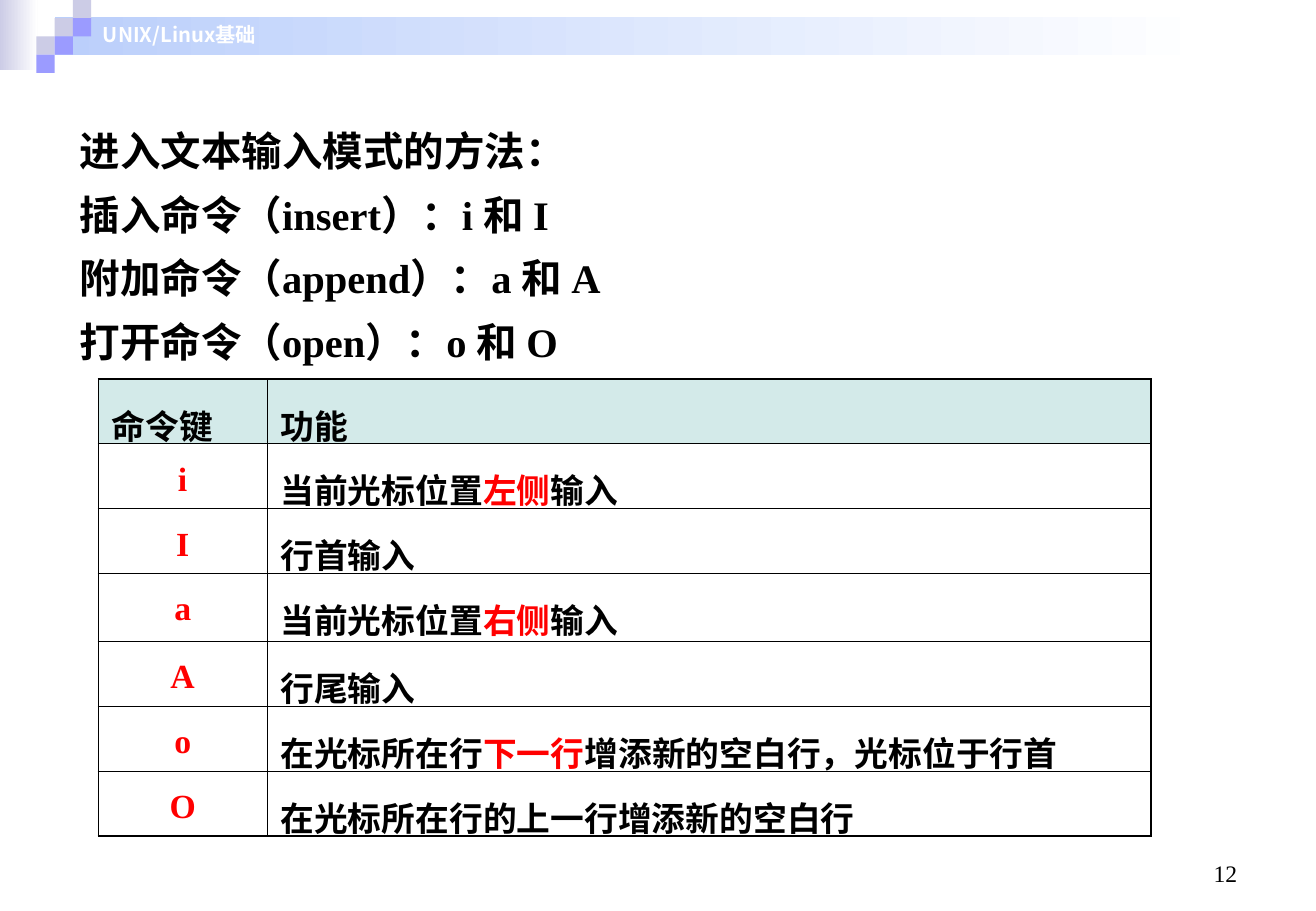
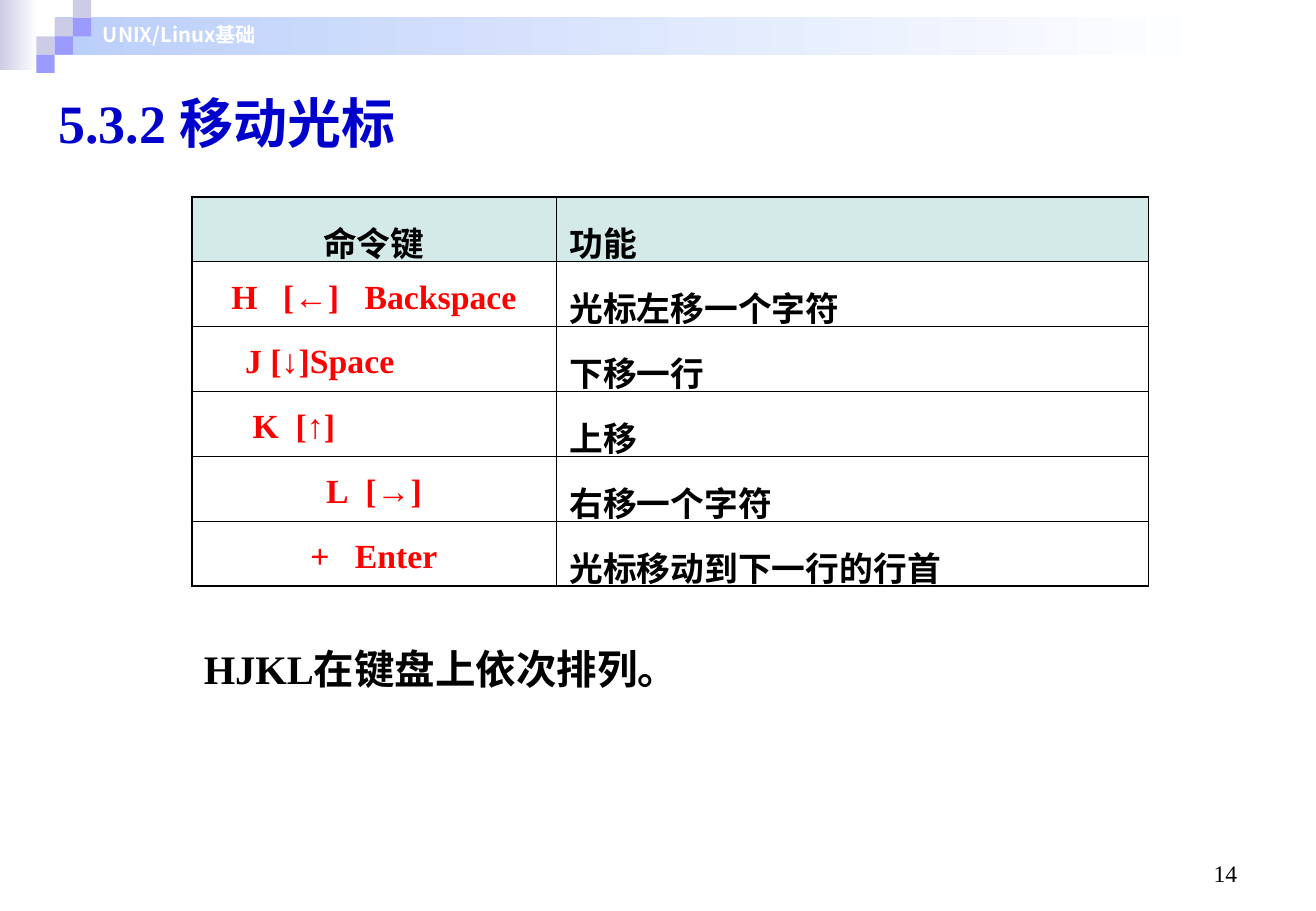
from lxml.etree import SubElement
from pptx import Presentation
from pptx.dml.color import RGBColor
from pptx.enum.shapes import MSO_SHAPE as SHAPE
from pptx.enum.text import MSO_ANCHOR as ANCHOR, PP_ALIGN as ALIGN
from pptx.oxml import parse_xml
from pptx.oxml.ns import nsdecls, qn
from pptx.util import Pt

PX = 9144  # 100 px to the inch
WIDTH, HEIGHT = 1084, 750

BLACK = RGBColor(0x00, 0x00, 0x00)
WHITE = RGBColor(0xFF, 0xFF, 0xFF)
RED = RGBColor(0xFF, 0x00, 0x00)
BLUE = RGBColor(0x00, 0x00, 0xCC)
LILAC = RGBColor(0xCC, 0xCC, 0xE6)
VIOLET = RGBColor(0x9B, 0x9B, 0xFF)
SKY = RGBColor(0xBB, 0xCF, 0xFB)
MINT = RGBColor(0xD3, 0xEA, 0xE9)

SERIF, SANS = "Times New Roman", "Noto Sans CJK JP"
THIN, THICK = Pt(0.45), Pt(1.08)
TILE = 15
ROW = 53


def px(*vals):
    return [round(val * PX) for val in vals]


# Text
def style(run, size, color, bold=True, face=SERIF):
    font = run.font
    font.size, font.bold, font.name = Pt(size), bold, face
    font.color.rgb = color
    east = SubElement(font._element, qn("a:ea"))
    east.set("typeface", SANS)


def add_text(slide, box, lines, size, color=BLACK, bold=True, face=SERIF,
             anchor=ANCHOR.MIDDLE, align=ALIGN.LEFT, pitch=None):
    frame = slide.shapes.add_textbox(*px(*box)).text_frame
    frame.word_wrap = True
    frame.vertical_anchor = anchor
    frame.text = "\n".join(lines)
    for para in frame.paragraphs:
        para.alignment = align
        if pitch:
            para.line_spacing = Pt(pitch)
        for run in para.runs:
            style(run, size, color, bold, face)
    return frame


def add_shade(run):
    shade = parse_xml(
        f'<a:effectLst {nsdecls("a")}><a:outerShdw dist="17961" dir="2700000">'
        '<a:srgbClr val="808080"/></a:outerShdw></a:effectLst>')
    run.font._element.find(qn("a:latin")).addprevious(shade)


# Header band and page number
def add_rect(slide, box, color, fade=False):
    rect = slide.shapes.add_shape(SHAPE.RECTANGLE, *px(*box))
    rect.shadow.inherit = False
    rect.line.fill.background()
    if fade:
        rect.fill.gradient()
        rect.fill.gradient_angle = 0
        for stop, tint in zip(rect.fill.gradient_stops, (color, WHITE)):
            stop.color.rgb = tint
    else:
        rect.fill.solid()
        rect.fill.fore_color.rgb = color


def add_head(slide, left, top):
    add_rect(slide, (left, top, 31, 58), LILAC, fade=True)
    add_rect(slide, (left + 45, top + 14, 955, 31), SKY, fade=True)
    tiles = [(3, 1, LILAC), (4, 0, LILAC), (4, 1, VIOLET),
             (2, 2, LILAC), (3, 2, VIOLET), (2, 3, VIOLET)]
    for col, row, color in tiles:
        add_rect(slide, (left + col * TILE, top + row * TILE, TILE, TILE), color)
    frame = add_text(slide, (left + 75, top + 13, 535, 30),
                     ["UNIX/Linux基础"], 12, WHITE, face=SANS)
    add_shade(frame.paragraphs[0].runs[0])


def new_slide(deck, number):
    slide = deck.slides.add_slide(deck.slide_layouts[6])
    add_head(slide, 0, 0)
    add_text(slide, (776, 683, 253, 52), [str(number)], 14, bold=False,
             anchor=ANCHOR.BOTTOM, align=ALIGN.RIGHT)
    return slide


# Command table
def add_edges(cell, first, last, top, base):
    props = cell._tc.get_or_add_tcPr()
    edges = [("L", first), ("R", last), ("T", top), ("B", base)]
    for spot, (side, outer) in enumerate(edges):
        width = THICK if outer else THIN
        props.insert(spot, parse_xml(
            f'<a:ln{side} {nsdecls("a")} w="{width}"><a:solidFill>'
            f'<a:srgbClr val="{BLACK}"/></a:solidFill></a:ln{side}>'))


def fill_cell(cell, parts, align, indent=0):
    """Each part is text, colour and extra letter spacing in points."""
    cell.margin_left = cell.margin_right = 11 * PX
    cell.margin_top = cell.margin_bottom = 5 * PX
    para = cell.text_frame.paragraphs[0]
    para.alignment, para.line_spacing = align, 1.3
    if indent:
        para._p.get_or_add_pPr().set("marL", str(indent * PX))
    for text, color, space in parts:
        run = para.add_run()
        run.text = text
        style(run, 20, color)
        if space:
            run.font._element.set("spc", str(space * 100))


def key_parts(words, gap):
    parts = []
    for word in words:
        if parts:
            parts.append((" ", RED, gap))
        parts.append((word, RED, 0))
    return parts


def note_parts(note):
    """Text between asterisks is red."""
    return [(text, RED if spot % 2 else BLACK, 0)
            for spot, text in enumerate(note.split("*")) if text]


def add_grid(slide, left, top, widths, heights, align, rows):
    count = len(heights)
    grid = slide.shapes.add_table(
        count, 2, *px(left, top, sum(widths), sum(heights))).table
    grid.first_row = grid.horz_banding = False
    for col, width in zip(grid.columns, widths):
        col.width = width * PX
    for row, height in zip(grid.rows, heights):
        row.height = height * PX
    fill_cell(grid.cell(0, 0), [("命令键", BLACK, 0)], align)
    fill_cell(grid.cell(0, 1), note_parts("功能"), ALIGN.LEFT)
    for row, (words, gap, indent, note) in enumerate(rows, 1):
        side = ALIGN.LEFT if indent else ALIGN.CENTER
        fill_cell(grid.cell(row, 0), key_parts(words, gap), side, indent)
        fill_cell(grid.cell(row, 1), note_parts(note), ALIGN.LEFT)
    for row in range(count):
        for col in range(2):
            cell = grid.cell(row, col)
            if row == 0:
                cell.fill.solid()
                cell.fill.fore_color.rgb = MINT
            else:
                cell.fill.background()
            add_edges(cell, col == 0, col == 1, row == 0, row == count - 1)


# Slides
def input_slide(deck):
    slide = new_slide(deck, 12)
    notes = {
        "i": "当前光标位置*左侧*输入",
        "I": "行首输入",
        "a": "当前光标位置*右侧*输入",
        "A": "行尾输入",
        "o": "在光标所在行*下一行*增添新的空白行，光标位于行首",
        "O": "在光标所在行的上一行增添新的空白行",
    }
    rows = [([key], 0, 0, note) for key, note in notes.items()]
    heights = [ROW] * 3 + [56] + [ROW] * 3
    add_grid(slide, 81, 312, (139, 728), heights, ALIGN.LEFT, rows)
    lines = ["进入文本输入模式的方法：", "插入命令（insert）：i 和 I",
             "附加命令（append）：a 和 A", "打开命令（open）：o 和 O"]
    add_text(slide, (56, 87, 853, 218), lines, 24, pitch=37.7)


def move_slide(deck):
    slide = new_slide(deck, 14)
    rows = [
        (["H", "[←]", "Backspace"], 10, 0, "光标左移一个字符"),
        (["J", "[↓]Space"], 0, 33, "下移一行"),
        (["K", "[↑]"], 5, 39, "上移"),
        (["L", "[→]"], 5, 0, "右移一个字符"),
        (["+", "Enter"], 10, 0, "光标移动到下一行的行首"),
    ]
    add_grid(slide, 158, 162, (300, 488), [ROW] * 6, ALIGN.CENTER, rows)
    add_text(slide, (38, 68, 448, 64), ["5.3.2 移动光标"], 32, BLUE)
    add_text(slide, (158, 525, 751, 50), ["HJKL在键盘上依次排列。"], 24)


def main():
    deck = Presentation()
    deck.slide_width, deck.slide_height = px(WIDTH, HEIGHT)
    input_slide(deck)
    move_slide(deck)
    deck.save("out.pptx")


if __name__ == "__main__":
    main()
